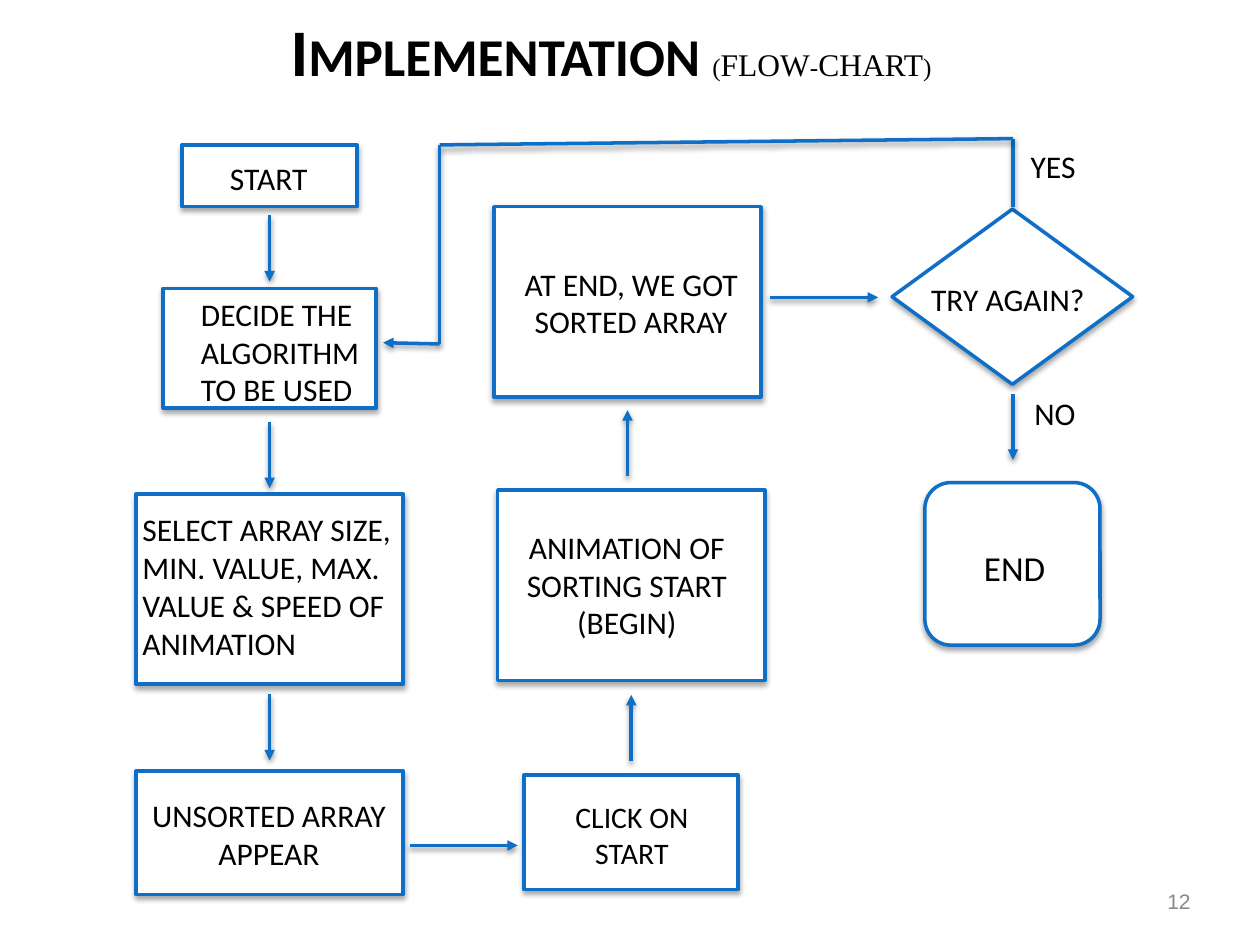
import pptx
import pptx.dml.color
import pptx.enum.shapes
import pptx.enum.text
import pptx.oxml.ns
import pptx.util
from lxml import etree
from dataclasses import dataclass

COLORS = {"line": "0F6FC6", "fill": "FFFFFF", "text": "000000",
          "page": "888888", "shadow": "000000"}
COLUMNS, ROWS = 100, 75
SHAPES = pptx.enum.shapes.MSO_SHAPE
ALIGN = pptx.enum.text.PP_ALIGN
MIDDLE = pptx.enum.text.MSO_ANCHOR.MIDDLE
GROW = pptx.enum.text.MSO_AUTO_SIZE.SHAPE_TO_FIT_TEXT
FIXED = pptx.enum.text.MSO_AUTO_SIZE.NONE
INSET = pptx.util.Inches(0.05)
FRAME = {"margin_left": INSET, "margin_right": INSET,
         "margin_top": INSET, "margin_bottom": INSET}

deck = pptx.Presentation()
deck.slide_width, deck.slide_height = pptx.util.Inches(10), pptx.util.Inches(7.5)


@dataclass
class Box:
    """An area in grid columns and rows."""
    left: float
    top: float
    width: float
    height: float

    def inner(self, left, top, width, height):
        return Box(self.left + left, self.top + top, width, height)

    def centred(self, top, width, height, shift=0):
        return self.inner((self.width - width) / 2 + shift, top, width, height)

    def emu(self):
        return (across(self.left), down(self.top),
                across(self.width), down(self.height))


def across(columns):
    return round(deck.slide_width * columns / COLUMNS)


def down(rows):
    return round(deck.slide_height * rows / ROWS)


def rgb(name):
    return pptx.dml.color.RGBColor.from_string(COLORS[name])


def apply(target, values):
    for name, value in values.items():
        setattr(target, name, value)


def add_run(paragraph, text, color="text", **font):
    run = paragraph.add_run()
    run.text = text
    apply(run.font, {"name": "Calibri", **font})
    run.font.color.rgb = rgb(color)
    return run


def outline(part, opacity):
    """Blue line with a soft shadow straight below."""
    part.line.color.rgb = rgb("line")
    part.line.width = pptx.util.Pt(2)
    qn = pptx.oxml.ns.qn
    effects = etree.SubElement(part._element.spPr, qn("a:effectLst"))
    shadow = etree.SubElement(effects, qn("a:outerShdw"), blurRad="38100",
                              dist="22860", dir="5400000", rotWithShape="0")
    tint = etree.SubElement(shadow, qn("a:srgbClr"), val=COLORS["shadow"])
    etree.SubElement(tint, qn("a:alpha"), val=str(opacity * 1000))


def label(slide, box, text, size=18, align=ALIGN.LEFT, wrap=True,
          color="text", **font):
    frame = slide.shapes.add_textbox(*box.emu()).text_frame
    apply(frame, {**FRAME, "word_wrap": wrap, "auto_size": GROW})
    paragraph = frame.paragraphs[0]
    paragraph.alignment = align
    add_run(paragraph, text, color, size=pptx.util.Pt(size), **font)
    return frame


def node(slide, box, text, text_box, kind=SHAPES.RECTANGLE, **text_format):
    """A step of the chart; text_box is relative to the step."""
    step = slide.shapes.add_shape(kind, *box.emu())
    step.fill.solid()
    step.fill.fore_color.rgb = rgb("fill")
    outline(step, 35)
    label(slide, box.inner(*text_box), text, **text_format)
    return step


def link(slide, box, start, end, arrow=True):
    (x1, y1), (x2, y2) = start, end
    line = slide.shapes.add_connector(
        pptx.enum.shapes.MSO_CONNECTOR.STRAIGHT,
        across(box.left + x1), down(box.top + y1),
        across(box.left + x2), down(box.top + y2))
    outline(line, 38)
    if arrow:
        stroke = line._element.spPr.find(pptx.oxml.ns.qn("a:ln"))
        etree.SubElement(stroke, pptx.oxml.ns.qn("a:tailEnd"), type="triangle")


def draw_title(slide, box):
    title = slide.shapes.title
    apply(title, dict(zip(("left", "top", "width", "height"), box.emu())))
    apply(title.text_frame, {**FRAME, "vertical_anchor": MIDDLE,
                             "word_wrap": True, "auto_size": FIXED})
    heading = title.text_frame.paragraphs[0]
    heading.alignment = ALIGN.CENTER
    for text, font in (
            ("Implementation ", {"size": pptx.util.Pt(38), "bold": True}),
            ("(FLOW-CHART)", {"size": pptx.util.Pt(18), "bold": False,
                              "name": "Times New Roman"})):
        add_run(heading, text, **font)._r.get_or_add_rPr().set("cap", "small")


def draw_setup(slide, box):
    """Left column: from the start to the unsorted array."""
    node(slide, box.centred(0, 13.9, 4.9), "START", (3.3, 0.6, 7.3, 3.6), wrap=False)
    node(slide, box.centred(11.4, 16.9, 9.5), "DECIDE THE ALGORITHM TO BE USED",
         (2.5, 0, 14.2, 10))
    node(slide, box.centred(27.7, 21.2, 15.1),
         "SELECT ARRAY SIZE, MIN. VALUE, MAX. VALUE & SPEED OF ANIMATION",
         (0, 0.8, 22.2, 13.2))
    node(slide, box.centred(49.7, 21.2, 9.8), "UNSORTED ARRAY APPEAR",
         (0.3, 1.5, 20.5, 6.8), align=ALIGN.CENTER)
    middle = box.width / 2
    for top in (5.6, 22, 43.6):
        link(slide, box, (middle, top), (middle, top + 5.25))


def draw_sorting(slide, box):
    """Middle column, read upwards: from the click to the sorted array."""
    node(slide, box.centred(45.1, 17, 9.1), "CLICK ON START",
         (2.1, 1.4, 12.9, 6.3), size=17, align=ALIGN.CENTER)
    node(slide, box.centred(22.5, 21.2, 15.1), "ANIMATION OF SORTING START (BEGIN)",
         (-0.5, 2.5, 21.5, 10), align=ALIGN.CENTER)
    node(slide, box.centred(0, 21.2, 15.1, shift=-0.3), "AT END, WE GOT SORTED ARRAY",
         (1.2, 4.1, 19.4, 6.8), align=ALIGN.CENTER)
    for x, bottom in ((10.6, 44), (10.3, 21.4)):
        link(slide, box, (x, bottom), (x, bottom - 5.25))


def draw_decision(slide, box):
    """Right column: the question and the end."""
    node(slide, box.centred(0, 19.1, 13.9), "TRY AGAIN?",
         (2.6, 5.1, 14.2, 4), kind=SHAPES.DIAMOND)
    end = node(slide, box.centred(21.7, 13.9, 12.9), "END", (4.2, 4.6, 6, 3.7),
               kind=SHAPES.ROUNDED_RECTANGLE, size=20, wrap=False)
    end.adjustments[0] = 0.16
    link(slide, box, (9.6, 14.7), (9.6, 19.9))
    label(slide, box.inner(10.8, 14.2, 4.3, 4), "NO", wrap=False)


def draw_loop(slide, box):
    """The way back from the question to the choice of algorithm."""
    turns = [(50, 5.4), (50, 0), (4.5, 0.5), (4.5, 16.3), (0, 16.2)]
    for start, end in zip(turns, turns[1:]):
        link(slide, box, start, end, arrow=end == turns[-1])
    label(slide, box.inner(50.9, 0.2, 4.6, 4), "YES", wrap=False)


def draw_crossings(slide, box):
    """Arrows from one column to the next."""
    for left, top in ((32.5, 67.1), (61.1, 23.6)):
        link(slide, box, (left, top), (left + 8.6, top))


def draw_page_number(slide, box):
    number = label(slide, box, "12", size=12, align=ALIGN.RIGHT,
                   color="page", name="Arial")
    number.vertical_anchor = MIDDLE


def main():
    slide = deck.slides.add_slide(deck.slide_layouts.get_by_name("Title Only"))
    draw_title(slide, Box(3.5, 0.1, 90, 7.8))
    draw_setup(slide, Box(10.8, 11.5, 21.2, 59.5))
    draw_sorting(slide, Box(39.5, 16.4, 21.2, 54.2))
    draw_decision(slide, Box(70.8, 16.6, 19.1, 34.6))
    draw_loop(slide, Box(30.4, 11, 50, 16.3))
    draw_crossings(slide, Box(0, 0, COLUMNS, ROWS))
    draw_page_number(slide, Box(91, 70.2, 4, 2.7))
    deck.save("out.pptx")


if __name__ == "__main__":
    main()
